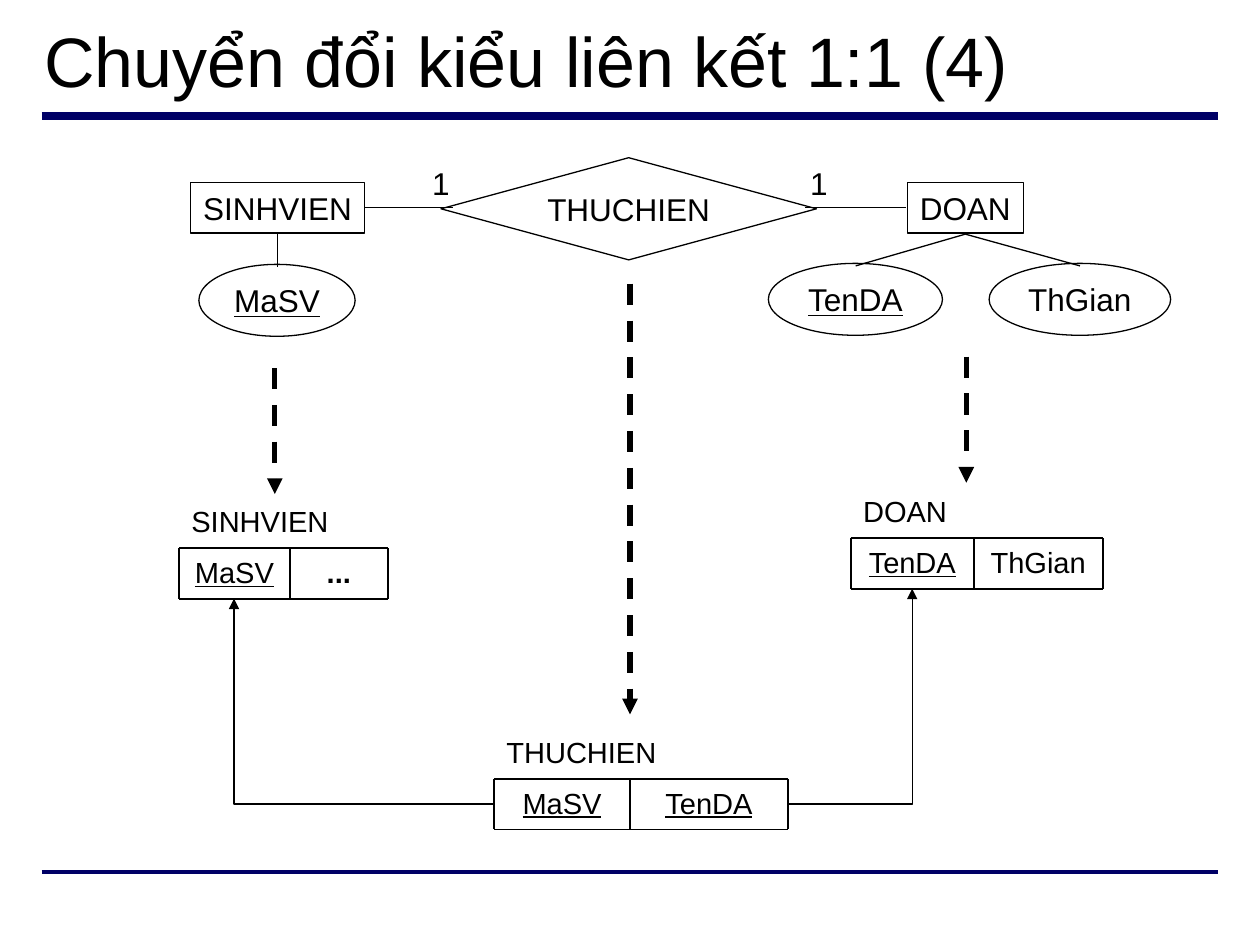
from lxml.etree import SubElement
from pptx import Presentation
from pptx.dml.color import RGBColor
from pptx.enum.dml import MSO_LINE
from pptx.enum.shapes import MSO_CONNECTOR, MSO_SHAPE
from pptx.enum.text import MSO_ANCHOR, PP_ALIGN
from pptx.oxml.ns import qn
from pptx.util import Cm, Pt

COLORS = {"ink": "000000", "rule": "000066", "paper": "FFFFFF"}
FONT = "Arial"
ROW_HEIGHT = 1.02


def color(name):
    return RGBColor.from_string(COLORS[name])


def write(shape, text, size, align=PP_ALIGN.LEFT, anchor=MSO_ANCHOR.TOP,
          wrap=True, underline=False, bold=False):
    frame = shape.text_frame
    frame.word_wrap = wrap
    frame.vertical_anchor = anchor
    para = frame.paragraphs[0]
    para.text = text
    para.alignment = align
    font = para.font
    font.name = FONT
    font.size = Pt(size)
    font.color.rgb = color("ink")
    font.underline = underline
    font.bold = bold


def add_text(page, text, left, top, width, height, size, **style):
    box = page.shapes.add_textbox(Cm(left), Cm(top), Cm(width), Cm(height))
    write(box, text, size, **style)


def add_node(page, kind, text, left, top, width, height, fill=None, underline=False):
    node = page.shapes.add_shape(kind, Cm(left), Cm(top), Cm(width), Cm(height))
    node.shadow.inherit = False
    if fill:
        node.fill.solid()
        node.fill.fore_color.rgb = color(fill)
    else:
        node.fill.background()
    node.line.color.rgb = color("ink")
    node.line.width = Pt(0.75)
    write(node, text, 18, PP_ALIGN.CENTER, MSO_ANCHOR.MIDDLE, False, underline)


def add_line(page, start, end, width=0.75, ink="ink", kind=MSO_CONNECTOR.STRAIGHT,
             dashed=False, arrow=False):
    line = page.shapes.add_connector(kind, *map(Cm, start + end))
    line.line.color.rgb = color(ink)
    line.line.width = Pt(width)
    if dashed:
        line.line.dash_style = MSO_LINE.DASH
    properties = line._element.spPr
    if arrow:
        SubElement(properties.find(qn("a:ln")), qn("a:tailEnd"), type="triangle")
    SubElement(properties, qn("a:effectLst"))
    return line


def add_reference(page, start, end):
    link = add_line(page, start, end, kind=MSO_CONNECTOR.ELBOW, arrow=True)
    link._element.spPr.find(qn("a:prstGeom")).set("prst", "bentConnector2")


def add_relation(page, name, left, top, fields):
    row_top = top + ROW_HEIGHT
    row_bottom = row_top + ROW_HEIGHT
    edges = [left]
    for text, width, style in fields:
        add_text(page, text, edges[-1], row_top, width, ROW_HEIGHT, 16.6,
                 align=PP_ALIGN.CENTER, **style)
        edges.append(edges[-1] + width)
    right = edges[-1]
    add_text(page, name, left, top, right - left, ROW_HEIGHT, 16.6)
    for y in (row_top, row_bottom):
        add_line(page, (left, y), (right, y), 1)
    for x in edges:
        add_line(page, (x, row_top), (x, row_bottom), 1)


def add_entity_diagram(page):
    add_node(page, MSO_SHAPE.RECTANGLE, "SINHVIEN", 3.84, 3.68, 3.51, ROW_HEIGHT)
    add_node(page, MSO_SHAPE.RECTANGLE, "DOAN", 18.29, 3.68, 2.34, ROW_HEIGHT)
    add_node(page, MSO_SHAPE.DIAMOND, "THUCHIEN", 8.89, 3.18, 7.57, 2.06)
    for left in (8.46, 16.08):
        add_text(page, "1", left, 3.18, 0.86, ROW_HEIGHT, 18, wrap=False)
    for text, left, top, width, key in (
        ("TenDA", 15.49, 5.31, 3.51, True),
        ("ThGian", 19.94, 5.31, 3.66, False),
        ("MaSV", 4.01, 5.33, 3.15, True),
    ):
        add_node(page, MSO_SHAPE.OVAL, text, left, top, width, 1.45, "paper", key)
    for start, end in (
        ((17.25, 5.36), (19.46, 4.72)),
        ((21.77, 5.36), (19.46, 4.72)),
        ((5.59, 5.38), (5.59, 4.72)),
        ((7.34, 4.19), (9.14, 4.19)),
        ((18.26, 4.19), (16.23, 4.19)),
    ):
        add_line(page, start, end)


def add_relations(page):
    key = {"underline": True}
    add_relation(page, "SINHVIEN", 3.61, 10.03,
                 [("MaSV", 2.23, key), ("...", 1.98, {"bold": True})])
    add_relation(page, "DOAN", 17.15, 9.83,
                 [("TenDA", 2.48, key), ("ThGian", 2.6, {})])
    add_relation(page, "THUCHIEN", 9.96, 14.68,
                 [("MaSV", 2.74, key), ("TenDA", 3.18, key)])
    add_reference(page, (9.96, 16.21), (4.72, 12.07))
    add_reference(page, (15.88, 16.21), (18.39, 11.87))


def main():
    deck = Presentation()
    deck.slide_width, deck.slide_height = Cm(25.4), Cm(19.05)
    page = deck.slides.add_slide(deck.slide_layouts[6])
    for y, width in ((2.34, 4.5), (17.58, 2.25)):
        add_line(page, (0.84, y), (24.56, y), width, "rule")
    add_text(page, "Chuyển đổi kiểu liên kết 1:1 (4)", 0.64, 0.46, 24.13, 1.47, 40,
             anchor=MSO_ANCHOR.MIDDLE)
    add_entity_diagram(page)
    add_relations(page)
    for x, top, bottom in ((5.54, 7.42, 9.96), (19.48, 7.19, 9.73), (12.7, 5.72, 14.4)):
        add_line(page, (x, top), (x, bottom), 3, dashed=True, arrow=True)
    deck.save("out.pptx")


if __name__ == "__main__":
    main()
